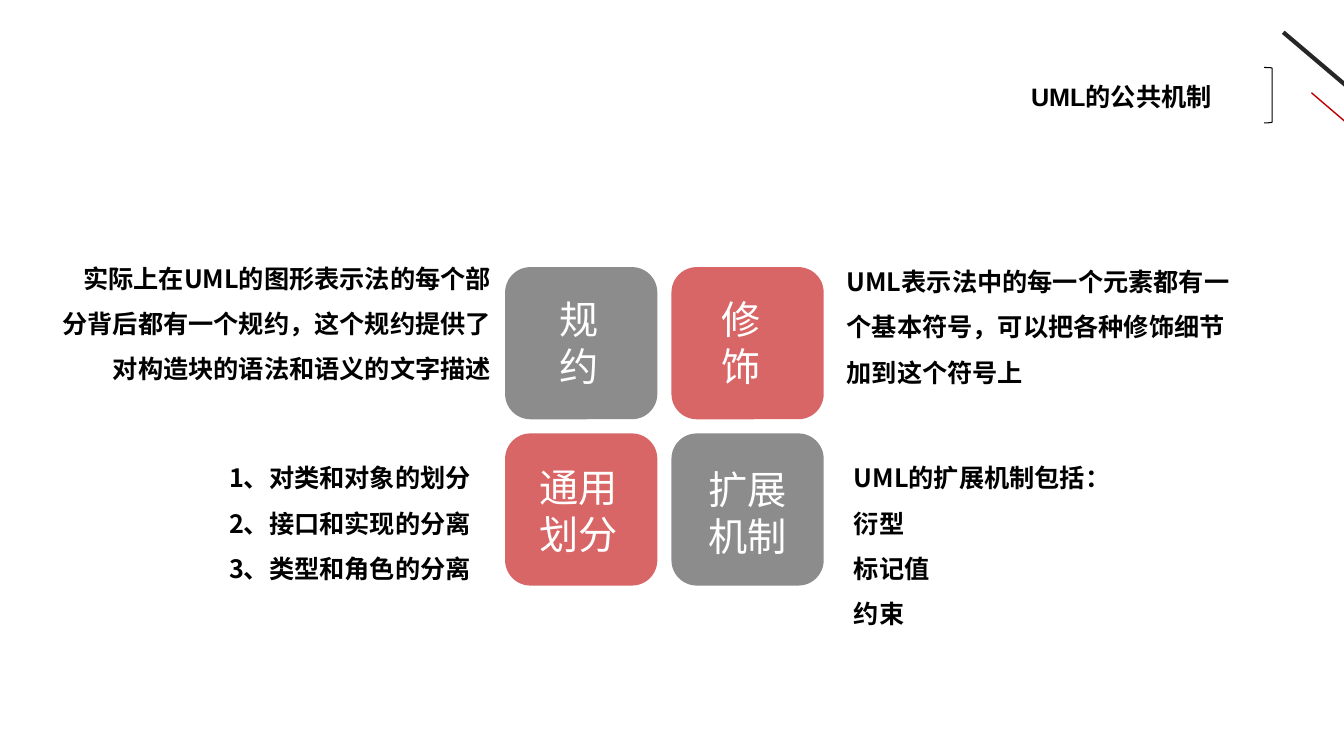
"""Build a slide on the common mechanisms of UML."""
from dataclasses import dataclass

from lxml import etree
from pptx import Presentation
from pptx.dml.color import RGBColor
from pptx.enum.shapes import MSO_CONNECTOR, MSO_SHAPE
from pptx.enum.text import PP_ALIGN
from pptx.oxml.ns import qn
from pptx.shapes.base import BaseShape
from pptx.slide import Slide
from pptx.util import Inches, Pt

STRAIGHT = MSO_CONNECTOR.STRAIGHT
ROUNDED = MSO_SHAPE.ROUNDED_RECTANGLE
BRACKET = MSO_SHAPE.RIGHT_BRACKET
LEFT, RIGHT = PP_ALIGN.LEFT, PP_ALIGN.RIGHT

SLIDE_WIDTH, SLIDE_HEIGHT = Inches(13.333), Inches(7.5)
LATIN_FONT, CHINESE_FONT = "Arial", "Noto Sans CJK SC"
BLACK, WHITE, GRAY, RED = "000000", "FFFFFF", "404040", "C00000"

TILE_LEFT, TILE_TOP = 37.58, 35.33
TILE_WIDTH, TILE_HEIGHT = 11.33, 20.13
COLUMN_STEP, ROW_STEP = 12.38, 22
TILE_OPACITY = 60


@dataclass(frozen=True)
class Box:
    """Place and size in percent of the slide's size."""
    left: float
    top: float
    width: float
    height: float


@dataclass(frozen=True)
class Stroke:
    """Straight line between two points in percent of the slide's size."""
    start: tuple[float, float]
    end: tuple[float, float]
    color: str
    weight: float


@dataclass(frozen=True)
class Text:
    """Text block with its look; insets are in inches."""
    box: Box
    content: str
    size: int = 18
    color: str = BLACK
    bold: bool = True
    font: str = CHINESE_FONT
    align: PP_ALIGN = LEFT
    spacing: float = 1.5
    insets: tuple[float, float] = (0.24, 0.12)


def label(box: Box, content: str) -> Text:
    """Return the white caption of a tile."""
    return Text(box, content, 28, WHITE, False, LATIN_FONT,
                spacing=1, insets=(0.1, 0.05))


STROKES = (
    Stroke((95.48, 4.27), (101.85, 13.87), "262626", 3),
    Stroke((97.58, 12.27), (100.73, 17.07), RED, 1),
)
TEXTS = (
    Text(Box(75.98, 10.13, 15.08, 5.33), "UML的公共机制",
         font=LATIN_FONT, spacing=1, insets=(0.1, 0.05)),
    label(Box(40.88, 38.4, 4.35, 13.87), "规约"),
    label(Box(52.95, 38.4, 4.35, 13.87), "修饰"),
    label(Box(51.98, 60.93, 7.43, 13.87), "扩展机制"),
    label(Box(39.38, 60.67, 7.65, 13.87), "通用划分"),
    Text(Box(61.2, 31.6, 32.63, 21.47),
         "UML表示法中的每一个元素都有一个基本符号，可以把各种修饰细节加到这个符号上"),
    Text(Box(61.73, 57.6, 32.63, 27.47),
         "UML的扩展机制包括：\n衍型\n标记值\n约束"),
    Text(Box(4.2, 57.6, 32.63, 21.47),
         "1、对类和对象的划分\n2、接口和实现的分离\n3、类型和角色的分离",
         align=RIGHT),
    Text(Box(2.78, 31.2, 35.55, 21.47),
         "实际上在UML的图形表示法的每个部分背后都有一个规约，"
         "这个规约提供了对构造块的语法和语义的文字描述", align=RIGHT),
)


def across(percent: float) -> int:
    """Return a share of the slide's width."""
    return round(SLIDE_WIDTH * percent / 100)


def down(percent: float) -> int:
    """Return a share of the slide's height."""
    return round(SLIDE_HEIGHT * percent / 100)


def place(box: Box) -> tuple[int, int, int, int]:
    """Return the box in slide units."""
    return across(box.left), down(box.top), across(box.width), down(box.height)


def color_of(value: str) -> RGBColor:
    """Return the colour of a hex string."""
    return RGBColor.from_string(value)


def draw_stroke(slide: Slide, stroke: Stroke) -> None:
    """Draw a straight line without shadow."""
    (left, top), (right, bottom) = stroke.start, stroke.end
    connector = slide.shapes.add_connector(
        STRAIGHT, across(left), down(top), across(right), down(bottom))
    connector.line.color.rgb = color_of(stroke.color)
    connector.line.width = Pt(stroke.weight)
    etree.SubElement(connector._element.spPr, qn("a:effectLst"))


def draw_bracket(slide: Slide, box: Box) -> BaseShape:
    """Draw the thin bracket beside the title."""
    shape = slide.shapes.add_shape(BRACKET, *place(box))
    shape.shadow.inherit = False
    shape.fill.background()
    shape.line.color.rgb = color_of(BLACK)
    shape.line.width = Pt(0.75)
    return shape


def draw_tile(slide: Slide, column: int, row: int) -> BaseShape:
    """Draw one translucent tile of the two by two grid."""
    box = Box(TILE_LEFT + column * COLUMN_STEP, TILE_TOP + row * ROW_STEP,
              TILE_WIDTH, TILE_HEIGHT)
    shape = slide.shapes.add_shape(ROUNDED, *place(box))
    shape.shadow.inherit = False
    shape.fill.solid()
    shape.fill.fore_color.rgb = color_of(GRAY if column == row else RED)
    shape.line.fill.background()
    fill_color = shape._element.spPr.find(qn("a:solidFill"))[0]
    etree.SubElement(fill_color, qn("a:alpha"), val=str(TILE_OPACITY * 1000))
    return shape


def draw_text(slide: Slide, text: Text) -> BaseShape:
    """Draw a wrapped text block."""
    shape = slide.shapes.add_textbox(*place(text.box))
    text_frame = shape.text_frame
    text_frame.word_wrap = True
    side, edge = map(Inches, text.insets)
    text_frame.margin_left = text_frame.margin_right = side
    text_frame.margin_top = text_frame.margin_bottom = edge
    text_frame.text = text.content
    for paragraph in text_frame.paragraphs:
        paragraph.alignment = text.align
        paragraph.line_spacing = text.spacing
        for run in paragraph.runs:
            run.font.size = Pt(text.size)
            run.font.bold = text.bold
            run.font.name = text.font
            run.font.color.rgb = color_of(text.color)
            etree.SubElement(run._r.get_or_add_rPr(), qn("a:ea"),
                             typeface=CHINESE_FONT)
    return shape


def main() -> None:
    """Build and save the presentation."""
    presentation = Presentation()
    presentation.slide_width = SLIDE_WIDTH
    presentation.slide_height = SLIDE_HEIGHT
    slide = presentation.slides.add_slide(presentation.slide_layouts[6])
    for stroke in STROKES:
        draw_stroke(slide, stroke)
    draw_bracket(slide, Box(94.05, 8.93, 0.6, 7.33))
    for row in range(2):
        for column in range(2):
            draw_tile(slide, column, row)
    for text in TEXTS:
        draw_text(slide, text)
    presentation.save("out.pptx")


if __name__ == "__main__":
    main()
